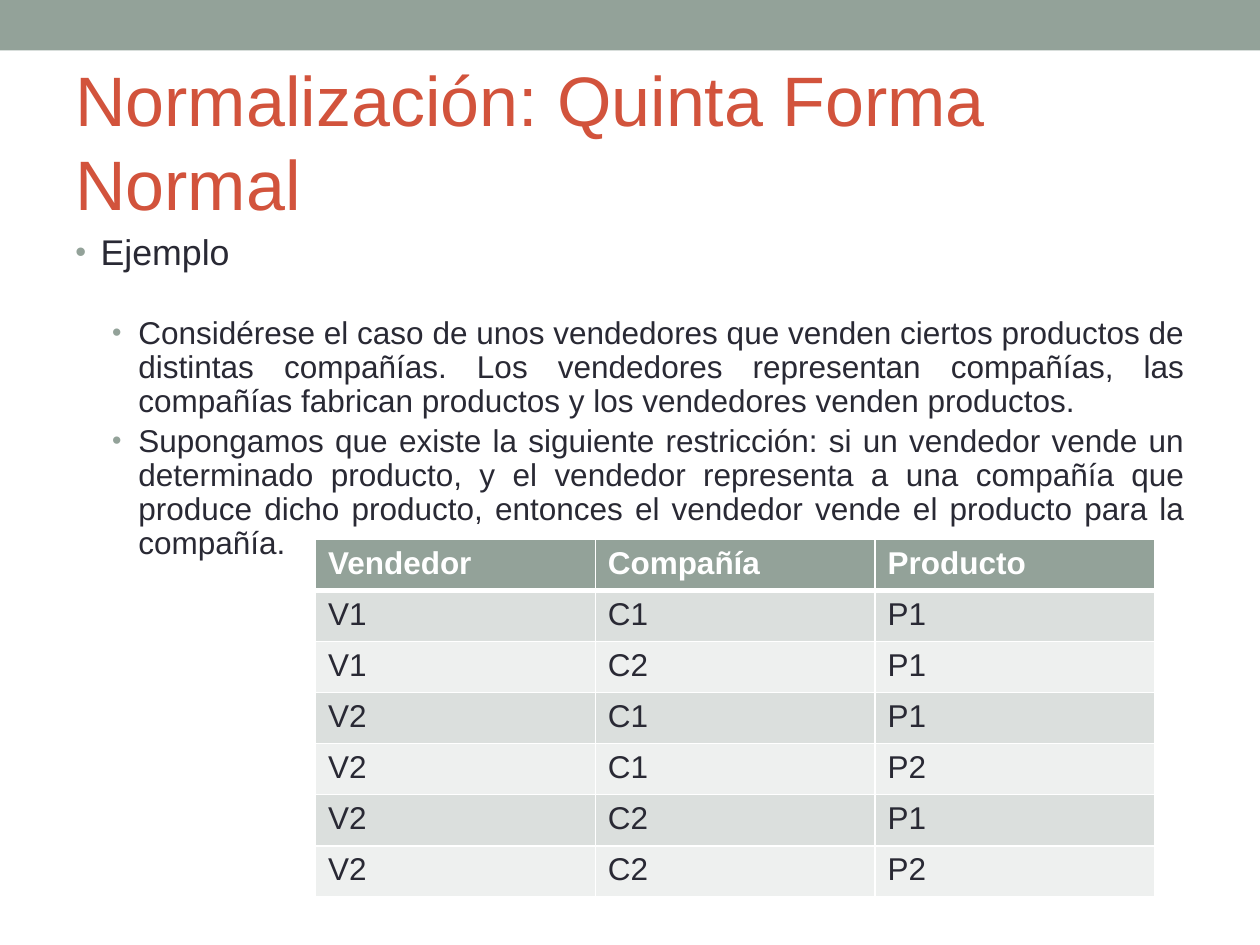
"""Build the slide on fifth normal form with its example table."""
import pptx
import pptx.dml.color
import pptx.enum.shapes
import pptx.enum.text
import pptx.oxml.ns
import pptx.util
from lxml import etree

Cm, Pt = pptx.util.Cm, pptx.util.Pt
RGBColor = pptx.dml.color.RGBColor
Align = pptx.enum.text.PP_ALIGN
Anchor = pptx.enum.text.MSO_ANCHOR
qn = pptx.oxml.ns.qn

SAGE = RGBColor(0x93, 0xA2, 0x99)
RED = RGBColor(0xD2, 0x53, 0x3C)
INK = RGBColor(0x29, 0x29, 0x34)
WHITE = RGBColor(0xFF, 0xFF, 0xFF)
BANDS = (RGBColor(0xEE, 0xF0, 0xEF), RGBColor(0xDB, 0xDF, 0xDD))

BODY = [
    ("Ejemplo", dict(size=20.4, margin=0.51, hang=0.51, bullet_size=87)),
    ("Considérese el caso de unos vendedores que venden ciertos productos de "
     "distintas compañías. Los vendedores representan compañías, las compañías "
     "fabrican productos y los vendedores venden productos.",
     dict(margin=1.27, hang=0.53, bullet_size=85, before=25.4, level=1)),
    ("Supongamos que existe la siguiente restricción: si un vendedor vende un "
     "determinado producto, y el vendedor representa a una compañía que produce "
     "dicho producto, entonces el vendedor vende el producto para la compañía.",
     dict(margin=1.27, hang=0.53, bullet_size=85, before=3.4, level=1)),
]
ROWS = [
    ("Vendedor", "Compañía", "Producto"),
    ("V1", "C1", "P1"),
    ("V1", "C2", "P1"),
    ("V2", "C1", "P1"),
    ("V2", "C1", "P2"),
    ("V2", "C2", "P1"),
    ("V2", "C2", "P2"),
]


def write(p, text, size=18, color=INK, bold=False):
    r = p.add_run()
    r.text = text
    r.font.name, r.font.size, r.font.bold = "Arial", Pt(size), bold
    r.font.color.rgb = color


def add_color(parent, color):
    fill = etree.SubElement(parent, qn("a:solidFill"))
    etree.SubElement(fill, qn("a:srgbClr"), val=str(color))


class Deck:
    def __init__(self, width, height):
        self.prs = pptx.Presentation()
        self.prs.slide_width, self.prs.slide_height = Cm(width), Cm(height)
        self.s = self.prs.slides.add_slide(self.prs.slide_layouts[6])

    def bar(self, *box):
        sp = self.s.shapes.add_shape(
            pptx.enum.shapes.MSO_SHAPE.RECTANGLE, *map(Cm, box))
        sp.shadow.inherit = False
        sp.fill.solid()
        sp.fill.fore_color.rgb = SAGE
        sp.line.fill.background()

    def text_box(self, *box, anchor=Anchor.TOP):
        tf = self.s.shapes.add_textbox(*map(Cm, box)).text_frame
        tf.word_wrap = True
        tf.vertical_anchor = anchor
        return tf

    def title(self, text, *box):
        tf = self.text_box(*box, anchor=Anchor.MIDDLE)
        write(tf.paragraphs[0], text, size=40, color=RED)

    def bullets(self, items, *box):
        tf = self.text_box(*box)
        for i, (text, style) in enumerate(items):
            p = tf.add_paragraph() if i else tf.paragraphs[0]
            self.bullet(p, text, **style)

    def bullet(self, p, text, margin, hang, bullet_size, before=0, level=0, size=18):
        pPr = p._p.get_or_add_pPr()
        pPr.set("marL", str(Cm(margin)))
        pPr.set("indent", str(-Cm(hang)))
        color = etree.SubElement(pPr, qn("a:buClr"))
        etree.SubElement(color, qn("a:srgbClr"), val=str(SAGE))
        etree.SubElement(pPr, qn("a:buSzPct"), val=str(bullet_size * 1000))
        etree.SubElement(pPr, qn("a:buFont"), typeface="Arial")
        etree.SubElement(pPr, qn("a:buChar"), char="•")
        p.level, p.alignment, p.line_spacing = level, Align.JUSTIFY, 0.9
        if before:
            p.space_before = Pt(before)
        write(p, text, size=size)

    def table(self, rows, left, top, col_width, row_height):
        n = len(rows[0])
        table = self.s.shapes.add_table(
            len(rows), n, Cm(left), Cm(top),
            Cm(n * col_width), Cm(len(rows) * row_height)).table
        for column in table.columns:
            column.width = Cm(col_width)
        for i, row in enumerate(rows):
            table.rows[i].height = Cm(row_height)
            for j, text in enumerate(row):
                self.cell(table.cell(i, j), text, i)

    def cell(self, cell, text, row):
        header = row == 0
        tcPr = cell._tc.get_or_add_tcPr()
        widths = dict(lnL=1, lnR=1, lnT=3 if row == 1 else 1, lnB=3 if header else 1)
        for side, width in widths.items():
            ln = etree.SubElement(tcPr, qn("a:" + side), w=str(Pt(width)))
            add_color(ln, WHITE)
        cell.fill.solid()
        cell.fill.fore_color.rgb = SAGE if header else BANDS[row % 2]
        write(cell.text_frame.paragraphs[0], text,
              color=WHITE if header else INK, bold=header)


def main():
    deck = Deck(25.4, 19.05)
    deck.bar(0, 0, 25.4, 1.02)
    deck.title("Normalización: Quinta Forma Normal", 1.27, 1.47, 22.86, 2.74)
    deck.bullets(BODY, 1.27, 4.6, 22.86, 6.27)
    deck.table(ROWS, 6.36, 10.87, col_width=5.64, row_height=1.03)
    deck.prs.save("out.pptx")


if __name__ == "__main__":
    main()
